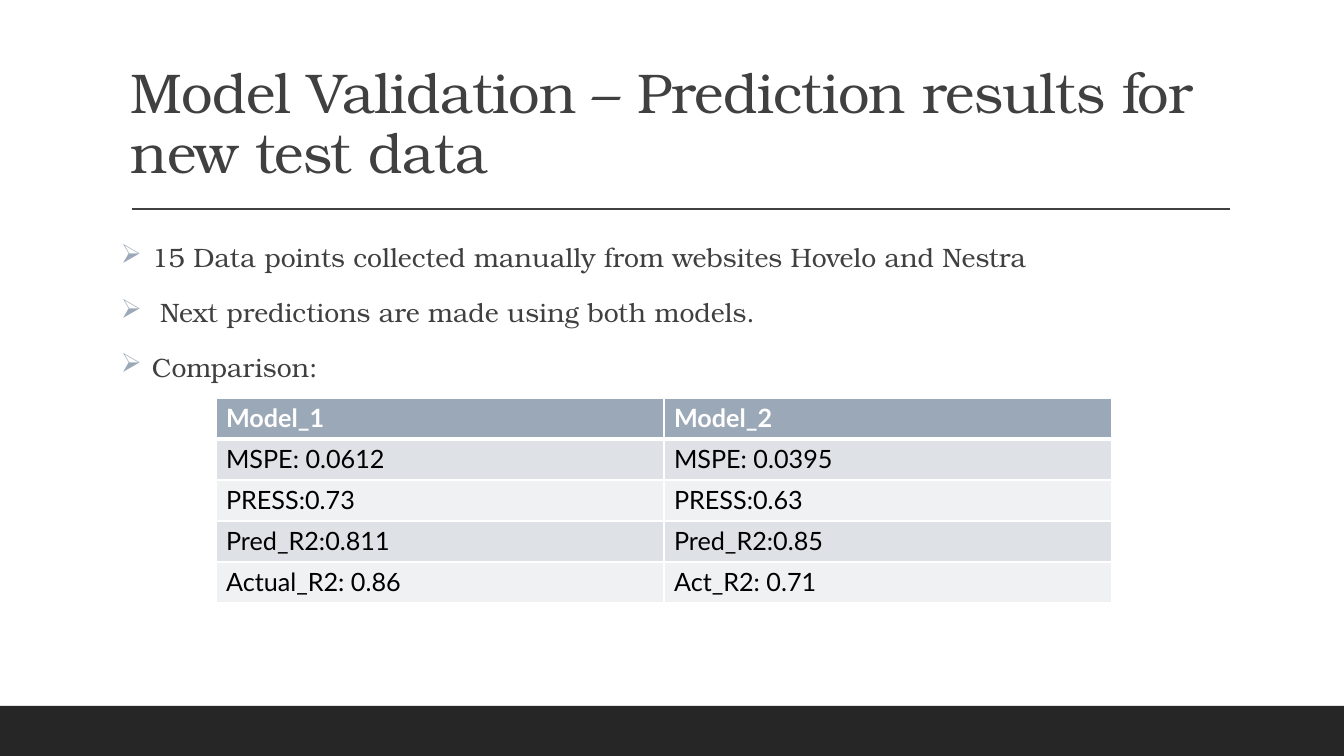
from lxml.etree import SubElement
from pptx import Presentation
from pptx.dml.color import RGBColor
from pptx.enum.shapes import MSO_CONNECTOR as LINE, MSO_SHAPE as SHAPE
from pptx.enum.text import MSO_ANCHOR as ANCHOR
from pptx.oxml.ns import qn
from pptx.util import Emu, Pt

COLORS = {
    "white": "FFFFFF", "black": "000000", "ink": "404040", "footer": "262626",
    "accent": "9BA8B7", "band_dark": "DEE1E6", "band_light": "EFF1F3",
}
BULLETS = [  # text, distance from bullet to text
    ("15 Data points collected manually from websites Hovelo and Nestra", 31),
    ("Next predictions are made using both models.", 39),
    ("Comparison:", 31),
]
RESULTS = [
    ("Model_1", "Model_2"),
    ("MSPE: 0.0612", "MSPE: 0.0395"),
    ("PRESS:0.73", "PRESS:0.63"),
    ("Pred_R2:0.811", "Pred_R2:0.85"),
    ("Actual_R2: 0.86", "Act_R2: 0.71"),
]


def px(n):
    return Emu(round(n * 914400 / 100.8))


def rgb(name):
    return RGBColor.from_string(COLORS[name])


class Deck:
    serif, sans = "TeX Gyre Bonum", "Lato"

    def __init__(self, width, height):
        self.prs = Presentation()
        self.prs.slide_width, self.prs.slide_height = px(width), px(height)
        self.slide = self.prs.slides.add_slide(self.prs.slide_layouts[6])

    def format_run(self, p, font, size, color, bold=False):
        r = p.runs[0]
        r.font.name, r.font.size, r.font.bold = font, Pt(size), bold
        r.font.color.rgb = rgb(color)
        return r

    def bar(self, x, y, w, h, color):
        sp = self.slide.shapes.add_shape(SHAPE.RECTANGLE, px(x), px(y), px(w), px(h))
        sp.shadow.inherit = False
        sp.fill.solid()
        sp.fill.fore_color.rgb = rgb(color)
        sp.line.fill.background()

    def rule(self, x1, x2, y, color):
        ln = self.slide.shapes.add_connector(LINE.STRAIGHT, px(x1), px(y), px(x2), px(y))
        ln.line.color.rgb, ln.line.width = rgb(color), Pt(1)
        SubElement(ln._element.spPr, qn("a:effectLst"))

    def text_box(self, x, y, w, h):
        tf = self.slide.shapes.add_textbox(px(x), px(y), px(w), px(h)).text_frame
        tf.word_wrap = True
        return tf

    def title(self, x, y, w, h, text):
        tf = self.text_box(x, y, w, h)
        tf.vertical_anchor = ANCHOR.BOTTOM
        p = tf.paragraphs[0]
        p.text, p.line_spacing = text, 0.9
        r = self.format_run(p, self.serif, 40, "ink")
        r.font._element.set("spc", "-50")

    def bullets(self, x, y, w, h, items):
        tf = self.text_box(x, y, w, h)
        tf.margin_left = tf.margin_right = 0
        tf.text = "\n".join(text for text, _ in items)
        for p, (_, indent) in zip(tf.paragraphs, items):
            p.line_spacing, p.space_before, p.space_after = 1.1, Pt(12), Pt(2)
            self.format_run(p, self.serif, 19, "ink")
            pPr = p._p.get_or_add_pPr()
            pPr.set("marL", str(px(indent)))
            pPr.set("indent", str(-px(indent)))
            color = SubElement(pPr, qn("a:buClr"))
            SubElement(color, qn("a:srgbClr"), val=COLORS["accent"])
            SubElement(pPr, qn("a:buChar"), char="➢")

    def border(self, cell, side, width):
        ln = SubElement(cell._tc.get_or_add_tcPr(), qn("a:ln" + side), w=str(Pt(width)))
        fill = SubElement(ln, qn("a:solidFill"))
        SubElement(fill, qn("a:srgbClr"), val=COLORS["white"])

    def table(self, x, y, col_w, row_h, rows):
        n, m = len(rows), len(rows[0])
        table = self.slide.shapes.add_table(
            n, m, px(x), px(y), px(m * col_w), px(n * row_h)).table
        for i, row in enumerate(rows):
            table.rows[i].height = px(row_h)
            header = i == 0
            fill = "accent" if header else "band_dark" if i % 2 else "band_light"
            for j, text in enumerate(row):
                cell = table.cell(i, j)
                cell.text = text
                self.format_run(cell.text_frame.paragraphs[0], self.sans, 18,
                                "white" if header else "black", header)
                for side in "LRTB":
                    thick = (i, side) in ((0, "B"), (1, "T"))
                    self.border(cell, side, 3 if thick else 1)
                cell.fill.solid()
                cell.fill.fore_color.rgb = rgb(fill)


def main():
    deck = Deck(1344, 756)
    deck.bar(0, 706, 1344, 50, "footer")
    deck.rule(132, 1230, 209, "ink")
    deck.title(121, 31, 1109, 160, "Model Validation – Prediction results for new test data")
    deck.bullets(121, 233, 1109, 414, BULLETS)
    deck.table(216, 398, 448, 41, RESULTS)
    deck.prs.save("out.pptx")


if __name__ == "__main__":
    main()
